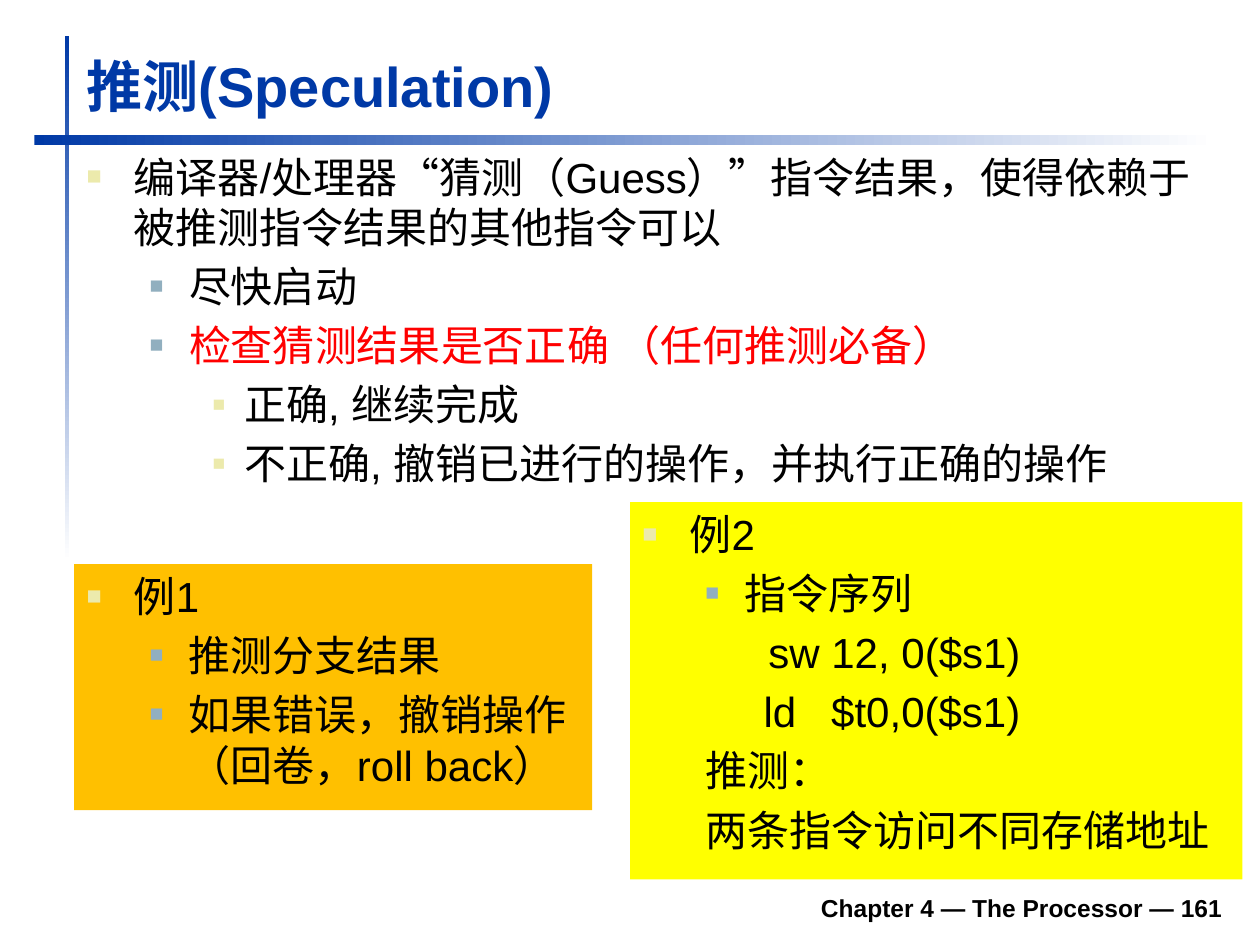
from lxml import etree
from pptx import Presentation
from pptx import util as u
from pptx.dml.color import RGBColor
from pptx.enum import shapes, text
from pptx.oxml.ns import qn

BLUE = RGBColor(0x00, 0x39, 0xA6)
WHITE = RGBColor(0xFF, 0xFF, 0xFF)
BLACK = RGBColor(0x00, 0x00, 0x00)
RED = RGBColor(0xFF, 0x00, 0x00)
ORANGE = RGBColor(0xFF, 0xC0, 0x00)
YELLOW = RGBColor(0xFF, 0xFF, 0x00)
CREAM = RGBColor(0xEC, 0xEA, 0xAC)
STEEL = RGBColor(0x91, 0xAF, 0xBF)

# Content: (style, text) or (style, text, colour)
TITLE = "推测(Speculation)"
FOOTER = "Chapter 4 — The Processor — 161"
MAIN = [
    ("top", "编译器/处理器“猜测（Guess）”指令结果，使得依赖于被推测指令结果的其他指令可以"),
    ("sub", "尽快启动"),
    ("sub", "检查猜测结果是否正确 （任何推测必备）", RED),
    ("detail", "正确, 继续完成"),
    ("detail", "不正确, 撤销已进行的操作，并执行正确的操作"),
]
EXAMPLE_1 = [
    ("top", "例1"),
    ("sub", "推测分支结果"),
    ("sub", "如果错误，撤销操作（回卷，roll back）"),
]
EXAMPLE_2 = [
    ("top", "例2"),
    ("sub", "指令序列"),
    ("plain", "\tsw 12, 0($s1)"),
    ("plain", "     ld   $t0,0($s1)"),
    ("plain", "推测："),
    ("plain", "两条指令访问不同存储地址"),
]

# Style: level, left margin, first-line indent, bullet colour, bullet size %
STYLES = {
    "top": (0, 27, -27, CREAM, 60),
    "sub": (1, 58.5, -22.5, STEEL, 55),
    "detail": (2, 90, -18, CREAM, 50),
    "plain": (1, 36, 0, None, None),
}

# Boxes in points: left, top, width, height
BARS = [((36.9, 20.5, 2.8, 300), 270), ((19.7, 77.2, 674.6, 5.6), 0)]
LISTS = [
    ((42.4, 82.8, 651.6, 203.8), MAIN, None),
    ((42.4, 322.4, 296, 140.6), EXAMPLE_1, ORANGE),
    ((360, 287, 350, 215.5), EXAMPLE_2, YELLOW),
]

prs = Presentation()
prs.slide_width, prs.slide_height = u.Pt(720), u.Pt(540)
s = prs.slides.add_slide(prs.slide_layouts[6])


def add_run(p, words, **font):
    r = p.add_run()
    r.text = words
    color = font.pop("color", BLACK)
    for name, value in {"name": "Arial", **font}.items():
        setattr(r.font, name, value)
    r.font.color.rgb = color


def add_box(box, anchor):
    tf = s.shapes.add_textbox(*map(u.Pt, box)).text_frame
    tf.word_wrap = True
    tf.vertical_anchor = anchor
    return tf


def format_paragraph(p, style):
    level, margin, indent, color, size = STYLES[style]
    p.level = level
    pPr = p._p.get_or_add_pPr()
    pPr.set("marL", str(u.Pt(margin)))
    pPr.set("indent", str(u.Pt(indent)))
    if color is None:
        etree.SubElement(pPr, qn("a:buNone"))
        return
    buClr = etree.SubElement(pPr, qn("a:buClr"))
    etree.SubElement(buClr, qn("a:srgbClr"), val=str(color))
    etree.SubElement(pPr, qn("a:buSzPct"), val=str(size * 1000))
    etree.SubElement(pPr, qn("a:buFont"), typeface="Arial")
    etree.SubElement(pPr, qn("a:buChar"), char="■")


# Fading bars
for box, angle in BARS:
    sp = s.shapes.add_shape(shapes.MSO_SHAPE.RECTANGLE, *map(u.Pt, box))
    sp.shadow.inherit = False
    sp.line.fill.background()
    sp.fill.gradient()
    sp.fill.gradient_angle = angle
    for stop, color, position in zip(sp.fill.gradient_stops, (BLUE, WHITE), (0, 1)):
        stop.color.rgb = color
        stop.position = position

# Footer and title
p = add_box((133.2, 502.5, 572.4, 28), text.MSO_ANCHOR.BOTTOM).paragraphs[0]
p.alignment = text.PP_ALIGN.RIGHT
add_run(p, FOOTER, size=u.Pt(14), bold=True)
p = add_box((42.4, 25.2, 650, 46), text.MSO_ANCHOR.BOTTOM).paragraphs[0]
add_run(p, TITLE, size=u.Pt(32), bold=True, color=BLUE)

# Bulleted text and the two example panels
for box, items, fill in LISTS:
    if fill is None:
        tf = add_box(box, text.MSO_ANCHOR.TOP)
    else:
        sp = s.shapes.add_shape(shapes.MSO_SHAPE.RECTANGLE, *map(u.Pt, box))
        sp.shadow.inherit = False
        sp.line.fill.background()
        sp.fill.solid()
        sp.fill.fore_color.rgb = fill
        tf = sp.text_frame
        tf.word_wrap = True
        tf.vertical_anchor = text.MSO_ANCHOR.TOP
    for i, (style, words, *color) in enumerate(items):
        p = tf.add_paragraph() if i else tf.paragraphs[0]
        format_paragraph(p, style)
        p.alignment = text.PP_ALIGN.LEFT
        if i:
            p.space_before = u.Pt(5)
        add_run(p, words, size=u.Pt(24), color=color[0] if color else BLACK)

prs.save("out.pptx")
